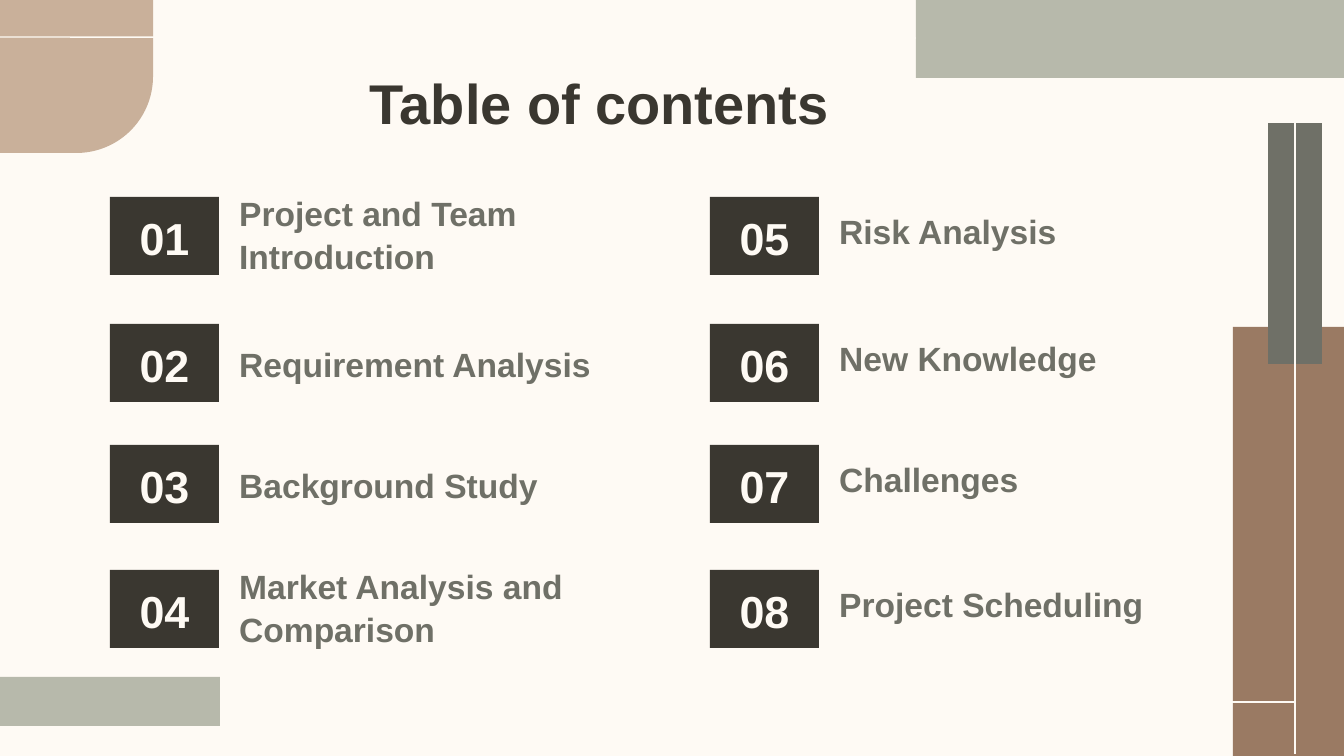
from lxml import etree
from pptx import Presentation, util as u
from pptx.dml.color import RGBColor
from pptx.enum import shapes, text
from pptx.oxml.ns import qn

PX = u.Inches(10) / 1344
CREAM, DARK, GREY = "FEFAF4", "3A3730", "6F7067"
SAGE, TAN, BROWN = "B7B9AB", "C9B09A", "9A7A63"

ROW_TOPS = [197, 324, 445, 570]
COLUMNS = [
    (110, ["Project and Team Introduction", "Requirement Analysis",
           "Background Study", "Market Analysis and Comparison"]),
    (710, ["Risk Analysis", "New Knowledge", "Challenges", "Project Scheduling"]),
]
LEFT_LABEL, LEFT_LABEL_TALL, RIGHT_LABEL = (5, 69), (-16, 109), (10, 58)


def px(*values):
    return [u.Emu(round(v * PX)) for v in values]


def color(hex_string):
    return RGBColor.from_string(hex_string)


def add_block(s, box, fill, shape=shapes.MSO_SHAPE.RECTANGLE):
    sp = s.shapes.add_shape(shape, *px(*box))
    sp.shadow.inherit = False
    sp.fill.solid()
    sp.fill.fore_color.rgb = color(fill)
    sp.line.fill.background()
    return sp


def add_line(s, *ends):
    line = s.shapes.add_connector(shapes.MSO_CONNECTOR.STRAIGHT, *px(*ends))
    line.line.color.rgb = color(CREAM)
    line.line.width = u.Pt(0.75)
    etree.SubElement(line._element.spPr, qn("a:effectLst"))


def set_text(sp, words, size, ink, align, anchor):
    tf = sp.text_frame
    tf.word_wrap = True
    tf.vertical_anchor = anchor
    tf.margin_left = tf.margin_right = u.Inches(0.1)
    tf.margin_top = tf.margin_bottom = u.Inches(0.1)
    tf.text = words
    p = tf.paragraphs[0]
    p.alignment = align
    p.line_spacing = 1.07
    font = p.runs[0].font
    font.name, font.size, font.bold = "Arial", u.Pt(size), True
    font.color.rgb = color(ink)


def add_label(s, box, words, size, ink, align, anchor):
    set_text(s.shapes.add_textbox(*px(*box)), words, size, ink, align, anchor)


def add_decoration(s):
    add_block(s, (1233, 327, 111, 429), BROWN)
    corner = add_block(s, (0, 0, 153, 153), TAN, shapes.MSO_SHAPE.ROUND_1_RECTANGLE)
    corner.adjustments[0] = 0.5
    corner.rotation = 90
    add_block(s, (916, 0, 428, 78), SAGE)
    add_block(s, (1268, 123, 54, 241), GREY)
    add_line(s, 1295, 123, 1295, 754)
    add_line(s, 1294, 702, 0, 702)
    add_line(s, 916, 38, 0, 37)
    add_block(s, (0, 677, 220, 49), SAGE)


def add_entry(s, left, top, number, title, label):
    tile = add_block(s, (left, top, 109, 78), DARK)
    set_text(tile, f"{number:02}", 24, CREAM,
             text.PP_ALIGN.CENTER, text.MSO_ANCHOR.MIDDLE)
    offset, height = label
    add_label(s, (left + 116, top + offset, 409, height), title, 18, GREY,
              text.PP_ALIGN.LEFT, text.MSO_ANCHOR.BOTTOM)


def main():
    prs = Presentation()
    prs.slide_width, prs.slide_height = px(1344, 756)
    s = prs.slides.add_slide(prs.slide_layouts[6])
    s.background.fill.solid()
    s.background.fill.fore_color.rgb = color(CREAM)
    add_decoration(s)
    add_label(s, (78, 50, 1043, 85), "Table of contents", 30, DARK,
              text.PP_ALIGN.CENTER, text.MSO_ANCHOR.TOP)
    number = 0
    for column, (left, titles) in enumerate(COLUMNS):
        for top, title in zip(ROW_TOPS, titles):
            number += 1
            label = RIGHT_LABEL
            if column == 0:
                label = LEFT_LABEL_TALL if len(title) > 20 else LEFT_LABEL
            add_entry(s, left, top, number, title, label)
    prs.save("out.pptx")


if __name__ == "__main__":
    main()
